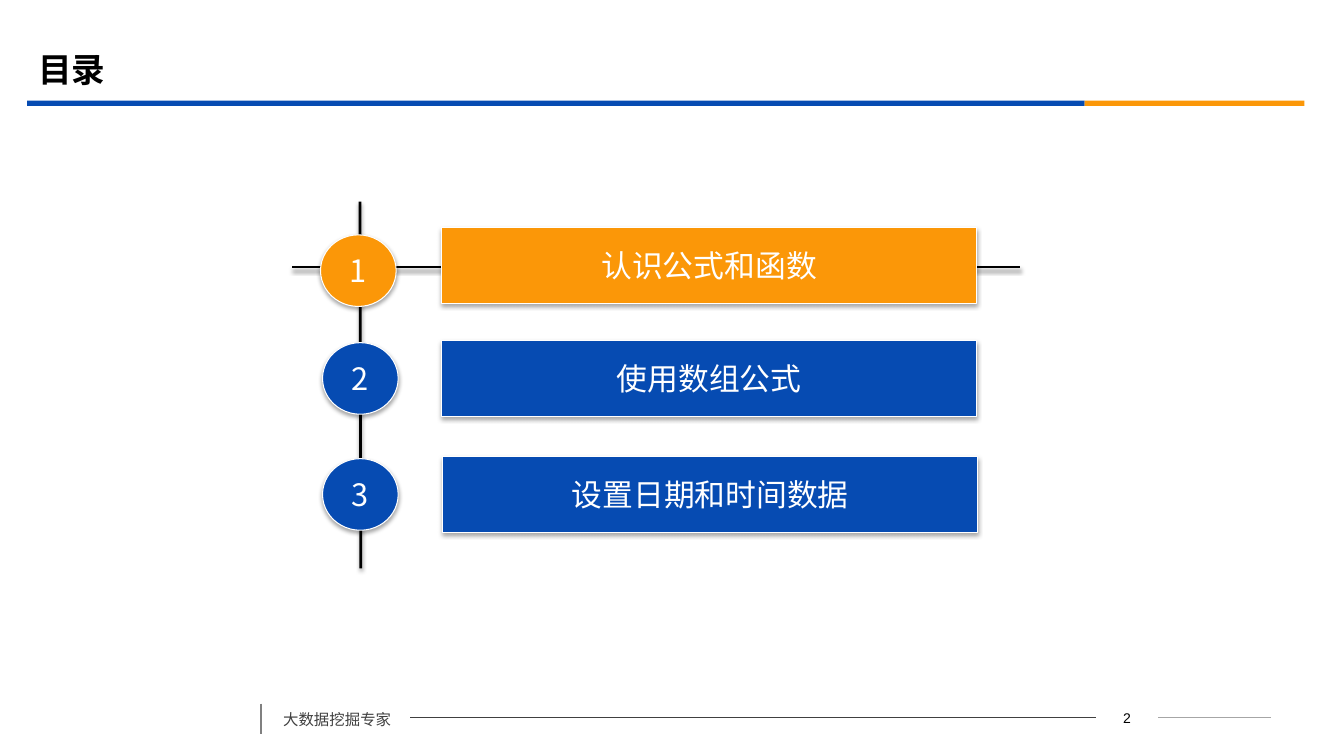
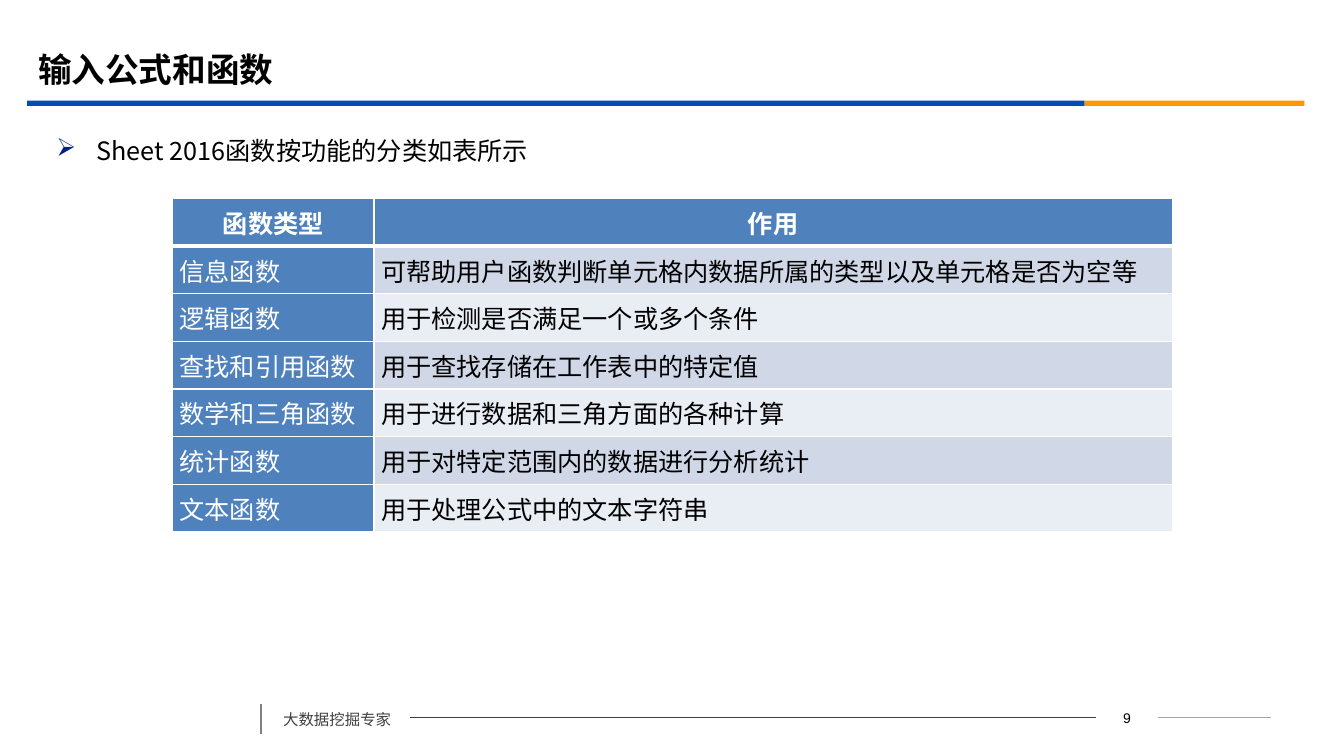
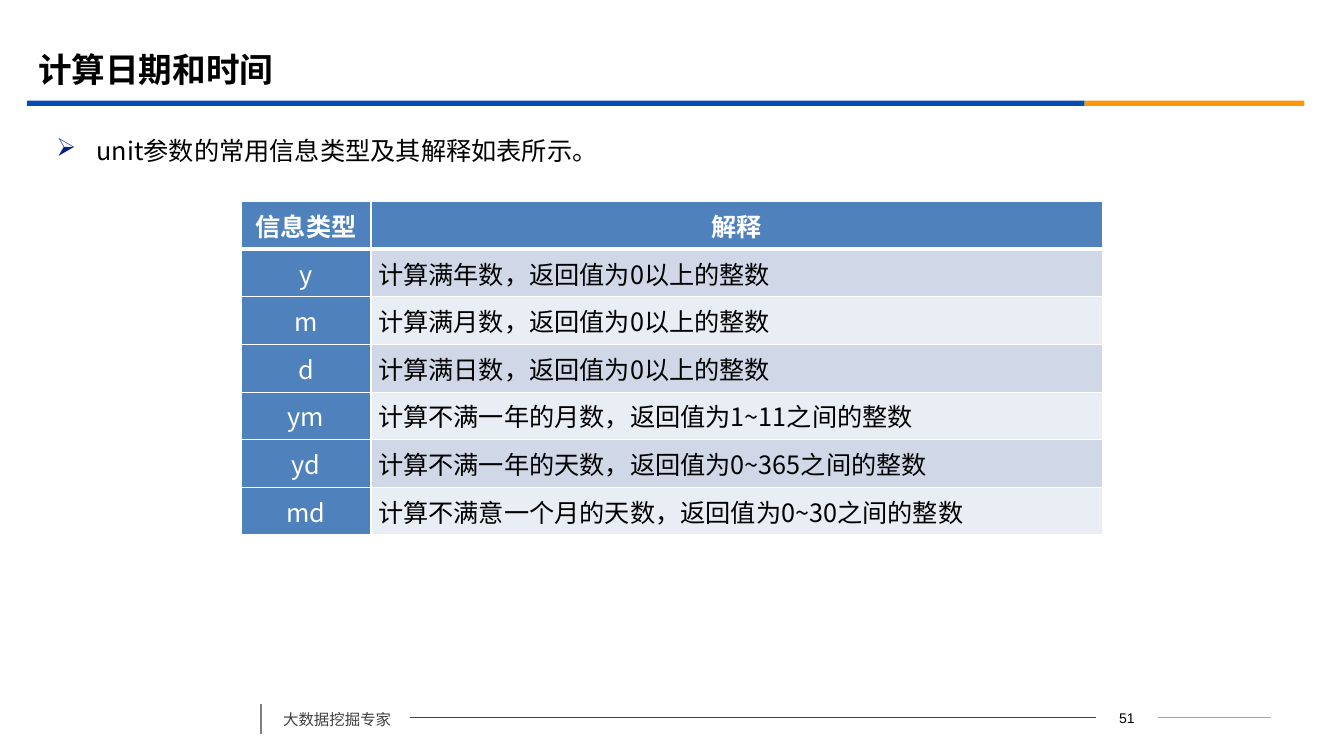
from lxml.etree import SubElement
from pptx import Presentation
from pptx.dml.color import RGBColor
from pptx.enum.shapes import MSO_CONNECTOR, MSO_SHAPE
from pptx.enum.text import MSO_ANCHOR, PP_ALIGN
from pptx.oxml.ns import qn
from pptx.util import Inches, Pt

# Palette and fonts
BLUE = RGBColor(0x06, 0x4B, 0xB2)
ORANGE = RGBColor(0xFB, 0x97, 0x08)
BULLET_BLUE = RGBColor(0x03, 0x20, 0x89)
BLACK = RGBColor(0x00, 0x00, 0x00)
WHITE = RGBColor(0xFF, 0xFF, 0xFF)
DARK_GREY = RGBColor(0x40, 0x40, 0x40)
MID_GREY = RGBColor(0x80, 0x80, 0x80)
LIGHT_GREY = RGBColor(0xA6, 0xA6, 0xA6)
TABLE_BLUE = RGBColor(0x4F, 0x81, 0xBD)
BANDS = (RGBColor(0xD0, 0xD8, 0xE8), RGBColor(0xE9, 0xED, 0xF4))
CJK = "Noto Sans CJK SC"
LATIN = "Arial"


class Deck:
    """Places are in hundredths of the slide's width and height."""

    def __init__(self):
        self.prs = Presentation()
        self.prs.slide_width = Inches(13.33)
        self.prs.slide_height = Inches(7.5)
        self.slide = None

    def x(self, share):
        return round(self.prs.slide_width * share / 100)

    def y(self, share):
        return round(self.prs.slide_height * share / 100)

    def box(self, left, top, width, height):
        return self.x(left), self.y(top), self.x(width), self.y(height)

    # Slide frame: title, band and footer
    def new_slide(self, title, number):
        self.slide = self.prs.slides.add_slide(self.prs.slide_layouts[6])
        self.shape(MSO_SHAPE.RECTANGLE, (2.03, 13.33, 78.67, 0.67), BLUE)
        self.shape(MSO_SHAPE.RECTANGLE, (80.7, 13.33, 16.35, 0.67), ORANGE)
        self.text((2.1, 5.2, 90, 7.73), title, 24, bold=True, anchor=MSO_ANCHOR.MIDDLE)
        self.line((19.43, 93.07), (19.43, 97.07), MID_GREY, 1.25)
        self.text((20.33, 92.53, 10.2, 5.07), "大数据挖掘专家", 11, DARK_GREY, inset=0.11)
        self.line((30.53, 94.93), (81.53, 94.93), DARK_GREY, 0.75)
        self.text((81.53, 93.2, 4.65, 3.33), str(number), 10,
                  align=PP_ALIGN.CENTER, font=LATIN)
        self.line((86.18, 94.93), (94.58, 94.93), LIGHT_GREY, 0.75)

    # Text
    def run(self, paragraph, words, size, color, bold=False, font=CJK):
        run = paragraph.add_run()
        run.text = words
        run.font.size = Pt(size)
        run.font.bold = bold
        run.font.color.rgb = color
        run.font.name = font
        SubElement(run.font._element, qn("a:ea"), typeface=font)

    def text(self, place, words, size, color=BLACK, bold=False, align=PP_ALIGN.LEFT,
             anchor=MSO_ANCHOR.TOP, font=CJK, inset=0.05):
        frame = self.slide.shapes.add_textbox(*self.box(*place)).text_frame
        frame.word_wrap = True
        frame.vertical_anchor = anchor
        frame.margin_top = Inches(inset)
        paragraph = frame.paragraphs[0]
        paragraph.alignment = align
        self.run(paragraph, words, size, color, bold, font)
        return paragraph

    def bullet(self, words):
        paragraph = self.text((3.45, 15.73, 91.13, 73.33), words, 18, inset=0.16)
        props = paragraph._p.get_or_add_pPr()
        props.set("marL", str(Inches(0.4)))
        props.set("indent", str(-Inches(0.4)))
        tint = SubElement(props, qn("a:buClr"))
        SubElement(tint, qn("a:srgbClr"), val=str(BULLET_BLUE))
        SubElement(props, qn("a:buChar"), char="➢")

    # Shapes and lines
    def shadow(self, props, opacity, distance):
        effects = SubElement(props, qn("a:effectLst"))
        outer = SubElement(effects, qn("a:outerShdw"), blurRad=str(Pt(3.1)),
                           dist=str(Pt(distance)), dir="5400000", rotWithShape="0")
        tint = SubElement(outer, qn("a:srgbClr"), val=str(BLACK))
        SubElement(tint, qn("a:alpha"), val=str(opacity * 1000))

    def shape(self, kind, place, fill):
        shape = self.slide.shapes.add_shape(kind, *self.box(*place))
        shape.fill.solid()
        shape.fill.fore_color.rgb = fill
        shape.line.fill.background()
        shape.shadow.inherit = False
        return shape

    def raised(self, kind, place, fill, words):
        shape = self.shape(kind, place, fill)
        shape.line.color.rgb = WHITE
        shape.line.width = Pt(0.75)
        props = shape._element.spPr
        props.remove(props.find(qn("a:effectLst")))
        self.shadow(props, 35, 1.8)
        frame = shape.text_frame
        frame.word_wrap = False
        frame.vertical_anchor = MSO_ANCHOR.MIDDLE
        frame.paragraphs[0].alignment = PP_ALIGN.CENTER
        self.run(frame.paragraphs[0], words, 22, WHITE)

    def line(self, start, end, color, width, raised=False):
        line = self.slide.shapes.add_connector(
            MSO_CONNECTOR.STRAIGHT, self.x(start[0]), self.y(start[1]),
            self.x(end[0]), self.y(end[1]))
        line.line.color.rgb = color
        line.line.width = Pt(width)
        if raised:
            self.shadow(line._element.spPr, 38, 1.6)
        else:
            SubElement(line._element.spPr, qn("a:effectLst"))

    # Tables
    def cell(self, cell, words, fill, color, align, bold, borders):
        cell.margin_left = cell.margin_right = Inches(0.07)
        cell.margin_top = cell.margin_bottom = 0
        cell.vertical_anchor = MSO_ANCHOR.MIDDLE
        for side, width in borders.items():
            edge = SubElement(cell._tc.get_or_add_tcPr(), qn("a:ln" + side), w=str(Pt(width)))
            paint = SubElement(edge, qn("a:solidFill"))
            SubElement(paint, qn("a:srgbClr"), val=str(WHITE))
        cell.fill.solid()
        cell.fill.fore_color.rgb = fill
        paragraph = cell.text_frame.paragraphs[0]
        paragraph.alignment = align
        self.run(paragraph, words, 18, color, bold)

    def table(self, left, top, widths, rows, key_align):
        row_height = 6.3
        place = self.box(left, top, sum(widths), row_height * len(rows))
        table = self.slide.shapes.add_table(len(rows), len(widths), *place).table
        table.horz_banding = False
        for column, width in zip(table.columns, widths):
            column.width = self.x(width)
        for r, row in enumerate(rows):
            table.rows[r].height = self.y(row_height)
            header = r == 0
            borders = {"L": 1, "R": 1, "T": 3 if r == 1 else 1, "B": 3 if header else 1}
            for c, words in enumerate(row):
                label = header or c == 0
                fill = TABLE_BLUE if label else BANDS[(r - 1) % 2]
                body_align = key_align if c == 0 else PP_ALIGN.JUSTIFY
                self.cell(table.cell(r, c), words, fill, WHITE if label else BLACK,
                          PP_ALIGN.CENTER if header else body_align, header, borders)


AGENDA = [  # topic, colour, circle left and top, button left and top
    ("认识公式和函数", ORANGE, (23.85, 31.07), (32.85, 30.13)),
    ("使用数组公式", BLUE, (24, 45.33), (32.85, 45.07)),
    ("设置日期和时间数据", BLUE, (24, 60.67), (32.93, 60.4)),
]
FUNCTION_TYPES = [
    ("函数类型", "作用"),
    ("信息函数", "可帮助用户函数判断单元格内数据所属的类型以及单元格是否为空等"),
    ("逻辑函数", "用于检测是否满足一个或多个条件"),
    ("查找和引用函数", "用于查找存储在工作表中的特定值"),
    ("数学和三角函数", "用于进行数据和三角方面的各种计算"),
    ("统计函数", "用于对特定范围内的数据进行分析统计"),
    ("文本函数", "用于处理公式中的文本字符串"),
]
UNIT_TYPES = [
    ("信息类型", "解释"),
    ("y", "计算满年数，返回值为0以上的整数"),
    ("m", "计算满月数，返回值为0以上的整数"),
    ("d", "计算满日数，返回值为0以上的整数"),
    ("ym", "计算不满一年的月数，返回值为1~11之间的整数"),
    ("yd", "计算不满一年的天数，返回值为0~365之间的整数"),
    ("md", "计算不满意一个月的天数，返回值为0~30之间的整数"),
]


def main():
    deck = Deck()

    # Agenda
    deck.new_slide("目录", 2)
    deck.line((26.78, 26.67), (26.85, 75.2), BLACK, 2, raised=True)
    deck.line((21.75, 35.33), (75.9, 35.33), BLACK, 2, raised=True)
    for number, (topic, color, circle, button) in enumerate(AGENDA, 1):
        deck.raised(MSO_SHAPE.OVAL, (*circle, 5.63, 9.47), color, str(number))
        deck.raised(MSO_SHAPE.ACTION_BUTTON_CUSTOM, (*button, 39.83, 10), color, topic)

    # Function types
    deck.new_slide("输入公式和函数", 9)
    deck.bullet("Sheet 2016函数按功能的分类如表所示")
    deck.table(12.83, 26.27, (15, 59.4), FUNCTION_TYPES, PP_ALIGN.JUSTIFY)

    # Date units
    deck.new_slide("计算日期和时间", 51)
    deck.bullet("unit参数的常用信息类型及其解释如表所示。")
    deck.table(17.93, 26.67, (9.68, 54.45), UNIT_TYPES, PP_ALIGN.CENTER)

    deck.prs.save("out.pptx")


if __name__ == "__main__":
    main()
